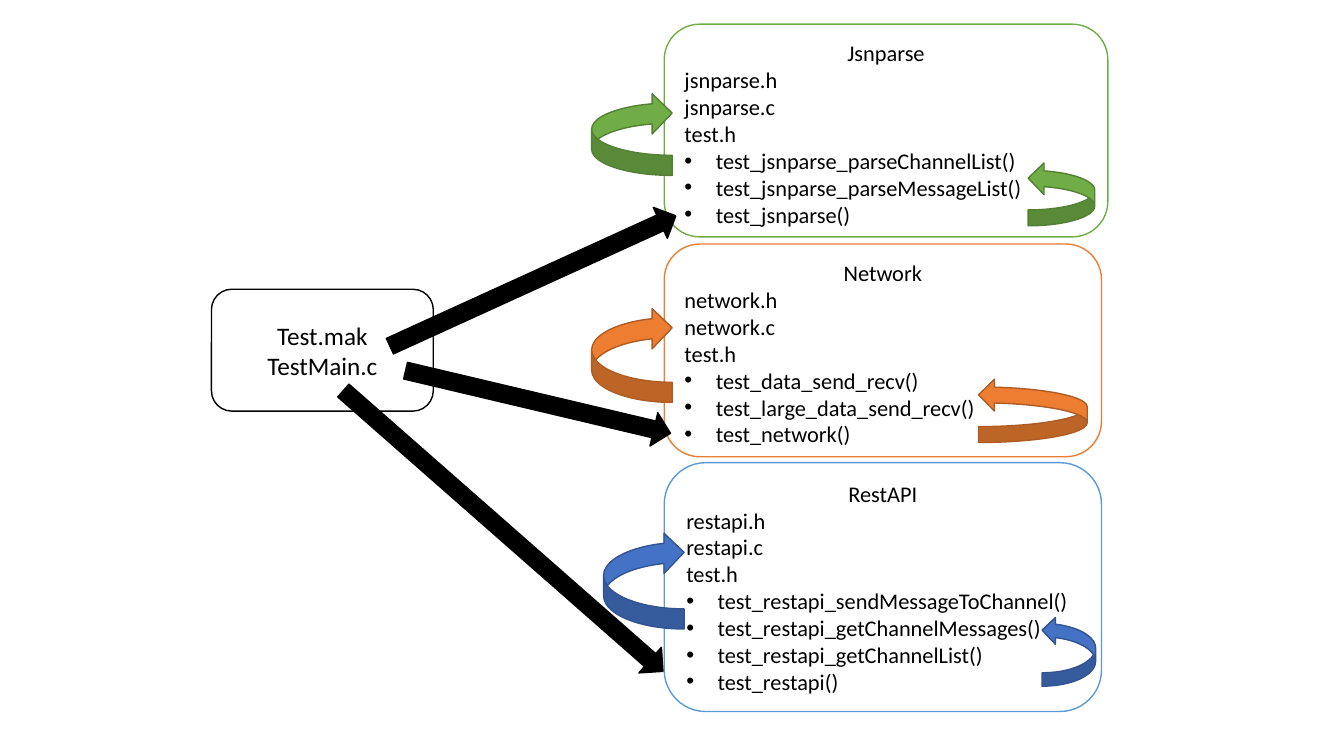
"""Build the slide of a test program and the three modules it calls."""
import pptx
import pptx.util
import pptx.dml.color
import pptx.enum.shapes
import pptx.enum.text
import pptx.oxml.ns
import lxml.etree

Cm, Pt = pptx.util.Cm, pptx.util.Pt
KIND = pptx.enum.shapes.MSO_SHAPE
ALIGN = pptx.enum.text.PP_ALIGN
ANCHOR = pptx.enum.text.MSO_ANCHOR
HUES = {
    "black": "000000", "white": "FFFFFF",
    "green": "70AD47", "moss": "538035",
    "orange": "ED7D31", "rust": "AF5C24",
    "sky": "5B9BD5", "blue": "4472C4", "navy": "325491",
}
MODULES = [
    {"title": "Jsnparse", "box": (16.74, 0.61, 11.18, 5.36),
     "edge": "green", "fill": "green", "dark": "moss",
     "outer": (14.91, 2.34, 2.03, 2.08), "inner": (25.91, 4.09, 1.68, 1.6),
     "tests": ["jsnparse_parseChannelList", "jsnparse_parseMessageList", "jsnparse"]},
    {"title": "Network", "box": (16.74, 6.15, 11.02, 5.36),
     "edge": "orange", "fill": "orange", "dark": "rust",
     "outer": (14.91, 7.75, 2.03, 2.39), "inner": (24.66, 9.55, 2.74, 1.6),
     "tests": ["data_send_recv", "large_data_send_recv", "network"]},
    {"title": "RestAPI", "box": (16.74, 11.66, 11.02, 6.27),
     "edge": "sky", "fill": "blue", "dark": "navy",
     "outer": (15.21, 13.41, 2.03, 2.44), "inner": (26.26, 15.54, 1.35, 1.75),
     "tests": ["restapi_sendMessageToChannel", "restapi_getChannelMessages",
               "restapi_getChannelList", "restapi"]},
]
CALLS = [
    ((9.47, 6.65, 7.92, 0.86), 335.5),
    ((10.13, 9.7, 6.86, 0.86), 13.3),
    ((7.32, 12.95, 10.72, 0.86), 41.3),
]


def color(name):
    """Return the named colour."""
    return pptx.dml.color.RGBColor.from_string(HUES[name])


def add_form(slide, kind, box, fill, edge, turn=0):
    """Add a filled and outlined preset shape."""
    form = slide.shapes.add_shape(kind, *(Cm(size) for size in box))
    form.shadow.inherit = False
    form.fill.solid()
    form.fill.fore_color.rgb = color(fill)
    form.line.color.rgb = color(edge)
    form.line.width = Pt(1)
    form.rotation = turn
    return form


def add_bullet(para):
    """Give a paragraph a hanging round bullet."""
    props = para._p.get_or_add_pPr()
    props.set("marL", str(Cm(0.79)))
    props.set("indent", str(-Cm(0.79)))
    for tag, key, value in (("a:buFont", "typeface", "Arial"),
                            ("a:buChar", "char", "•")):
        item = lxml.etree.SubElement(props, pptx.oxml.ns.qn(tag))
        item.set(key, value)


def add_lines(form, lines, size, anchor):
    """Write lines of text, each with its alignment and bullet flag."""
    frame = form.text_frame
    frame.word_wrap = True
    frame.vertical_anchor = anchor
    for index, (text, align, bullet) in enumerate(lines):
        para = frame.add_paragraph() if index else frame.paragraphs[0]
        para.alignment = align
        if bullet:
            add_bullet(para)
        run = para.add_run()
        run.text = text
        run.font.size = Pt(size)
        run.font.name = "Calibri"
        run.font.color.rgb = color("black")


def add_main(slide):
    """Add the box of the test program."""
    form = add_form(slide, KIND.ROUNDED_RECTANGLE, (5.33, 7.29, 5.59, 3.07),
                    "white", "black")
    lines = [(text, ALIGN.CENTER, False) for text in ("Test.mak", "TestMain.c")]
    add_lines(form, lines, 18, ANCHOR.MIDDLE)


def add_module(slide, module):
    """Add a module box with its files, tests and two loop arrows."""
    form = add_form(slide, KIND.ROUNDED_RECTANGLE, module["box"],
                    "white", module["edge"])
    stem = module["title"].lower()
    lines = [(module["title"], ALIGN.CENTER, False)]
    lines += [(text, ALIGN.LEFT, False)
              for text in (f"{stem}.h", f"{stem}.c", "test.h")]
    lines += [(f"test_{test}()", ALIGN.LEFT, True) for test in module["tests"]]
    add_lines(form, lines, 16, ANCHOR.TOP)
    for kind, side in ((KIND.CURVED_RIGHT_ARROW, "inner"),
                       (KIND.CURVED_LEFT_ARROW, "outer")):
        add_form(slide, kind, module[side], module["fill"], module["dark"], 180)


def main():
    """Build and save the slide."""
    deck = pptx.Presentation()
    deck.slide_width, deck.slide_height = Cm(33.87), Cm(19.05)
    slide = deck.slides.add_slide(deck.slide_layouts[6])
    add_main(slide)
    for module in MODULES:
        add_module(slide, module)
    for box, turn in CALLS:
        add_form(slide, KIND.RIGHT_ARROW, box, "black", "black", turn)
    deck.save("out.pptx")


main()
